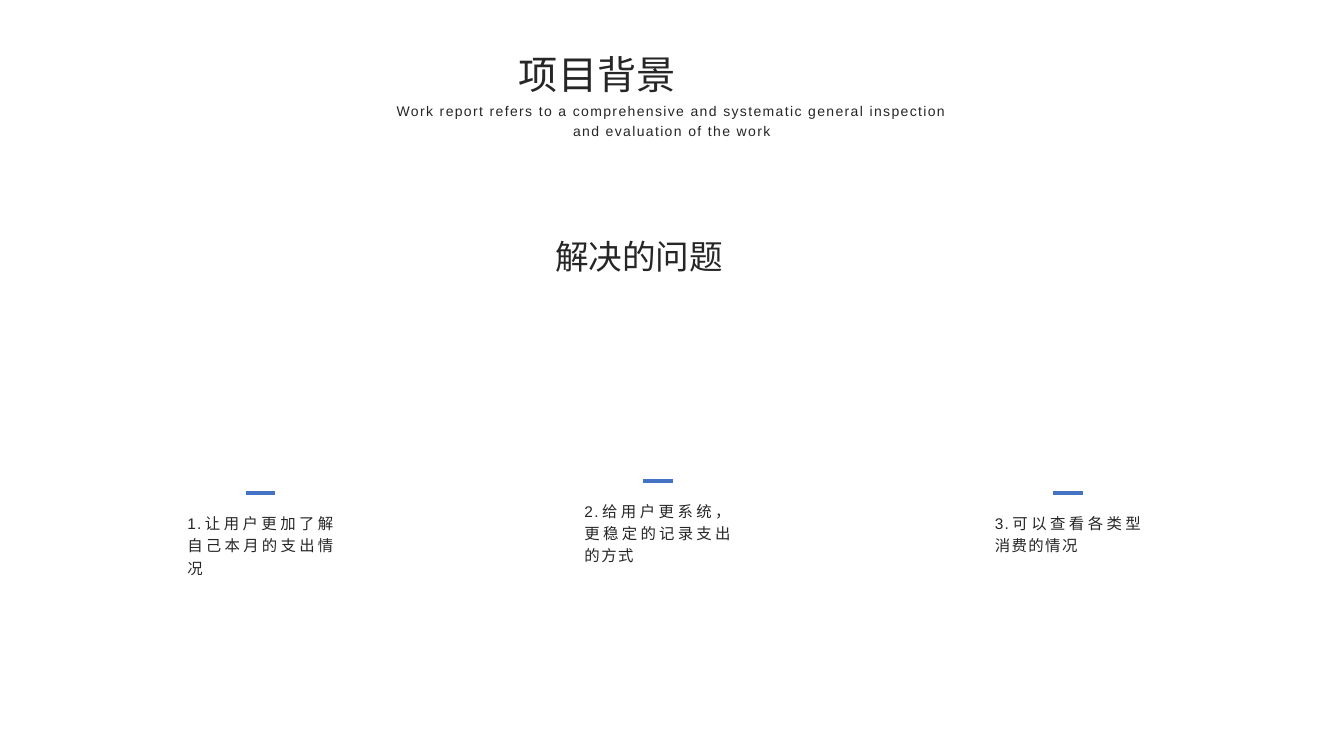
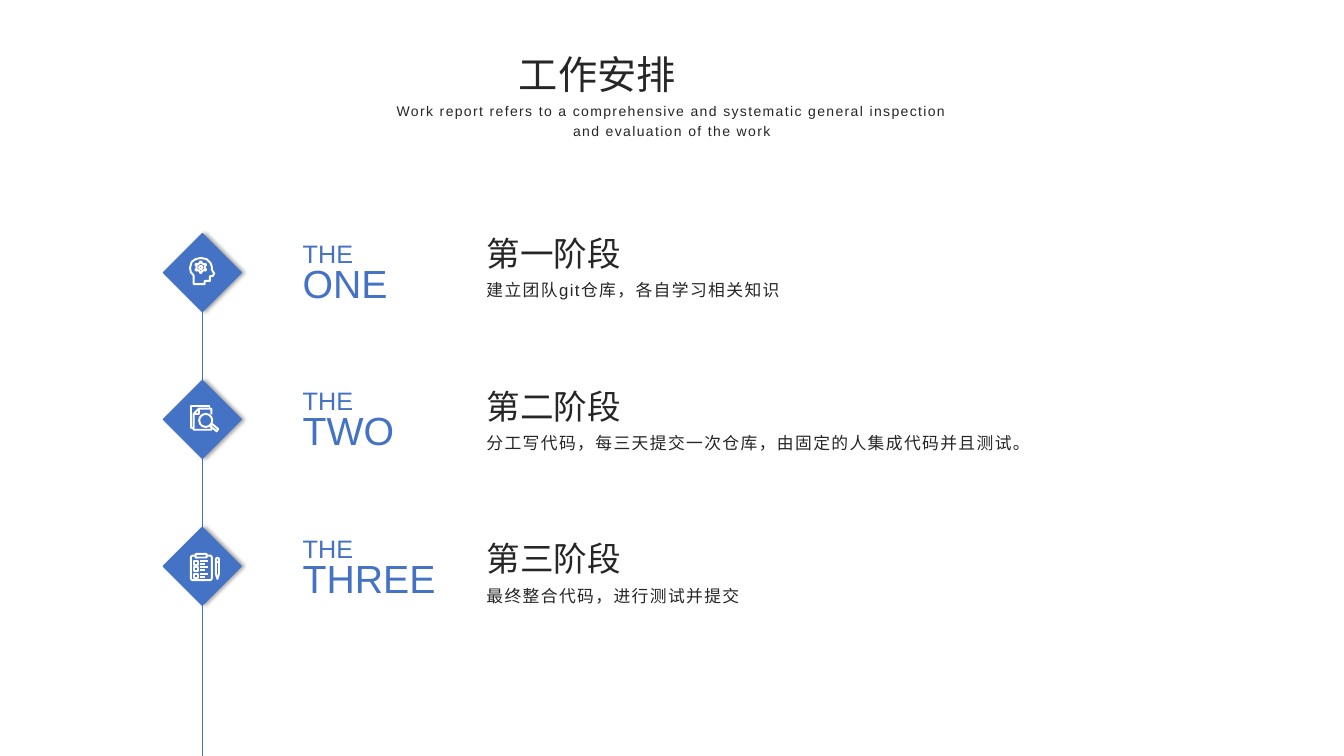
from lxml.etree import SubElement
from pptx import Presentation
from pptx.dml.color import RGBColor
from pptx.enum.shapes import MSO_CONNECTOR, MSO_SHAPE
from pptx.enum.text import MSO_AUTO_SIZE, PP_ALIGN
from pptx.oxml.ns import qn
from pptx.util import Cm, Pt

INK = "262626"
ACCENT = "4472C4"
WHITE = "FFFFFF"
FONT = "Arial"
SUBTITLE = (
    "Work report refers to a comprehensive and systematic general inspection "
    "and evaluation of the work"
)
POINTS = [
    (4.47, 12.73, 1.91, "1.让用户更加了解自己本月的支出情况"),
    (14.48, 12.42, 1.91, "2.给用户更系统，更稳定的记录支出的方式"),
    (24.82, 12.73, 1.35, "3.可以查看各类型消费的情况"),
]
ICON_UNIT = 0.01
ICON_WEIGHT = 1.4
DIAMOND_LEFT, DIAMOND_SIZE = 4.12, 1.96
HEAD = [
    (76, 127), (76, 105), (69, 97), (67, 86), (71, 71), (81, 64), (94, 61),
    (109, 64), (119, 74), (122, 84), (122, 91), (128, 100), (124, 107),
    (117, 107), (117, 119), (104, 119), (104, 127),
]
BACK_PAGE = [(76, 119), (69, 119), (69, 64), (116, 64), (116, 71)]
FRONT_PAGE = [(121, 85), (121, 71), (89, 71), (76, 84), (76, 124), (121, 124), (121, 119)]
PAGE_FOLD = [(90, 71), (90, 84), (76, 84)]
LENS_HANDLE = [(122, 109), (138, 122), (134, 128), (117, 114)]
PEN = [(132, 79), (136, 76), (140, 79), (140, 117), (136, 130), (132, 117)]


def color(value):
    return RGBColor.from_string(value)


def style_span(span, size, ink=INK, spacing=0):
    span.font.size = Pt(size)
    span.font.name = FONT
    span.font.color.rgb = color(ink)
    properties = span.font._element
    SubElement(properties, qn("a:ea"), typeface=FONT)
    if spacing:
        properties.set("spc", str(spacing * 100))


def add_box(page, left, top, width, height):
    box = page.shapes.add_textbox(Cm(left), Cm(top), Cm(width), Cm(height))
    box.text_frame.word_wrap = True
    box.text_frame.auto_size = MSO_AUTO_SIZE.SHAPE_TO_FIT_TEXT
    return box


def add_text(page, area, text, size, align=PP_ALIGN.JUSTIFY, leading=None, spacing=0):
    box = add_box(page, *area)
    box.text_frame.text = text
    para = box.text_frame.paragraphs[0]
    para.alignment = align
    if leading:
        para.line_spacing = Pt(leading)
    style_span(para.runs[0], size, spacing=spacing)


def add_line(page, start, end, ink, weight):
    ends = [Cm(value) for value in (*start, *end)]
    line = page.shapes.add_connector(MSO_CONNECTOR.STRAIGHT, *ends)
    line.line.color.rgb = color(ink)
    line.line.width = Pt(weight)
    SubElement(line._element.spPr, qn("a:effectLst"))


def paint(shape, ink, weight, fill=None):
    shape.shadow.inherit = False
    shape.line.color.rgb = color(ink)
    shape.line.width = Pt(weight)
    if fill:
        shape.fill.solid()
        shape.fill.fore_color.rgb = color(fill)
    else:
        shape.fill.background()


def add_diamond(page, top):
    diamond = page.shapes.add_shape(
        MSO_SHAPE.DIAMOND, Cm(DIAMOND_LEFT), Cm(top), Cm(DIAMOND_SIZE), Cm(DIAMOND_SIZE)
    )
    paint(diamond, ACCENT, 1, ACCENT)
    effects = diamond._element.spPr.find(qn("a:effectLst"))
    shadow = SubElement(
        effects, qn("a:outerShdw"), blurRad=str(Pt(3)), dist=str(Pt(2)), dir="0"
    )
    tint = SubElement(shadow, qn("a:srgbClr"), val="000000")
    SubElement(tint, qn("a:alpha"), val="36000")


def add_icon_outline(page, top, points, close=False):
    builder = page.shapes.build_freeform(*points[0], scale=Cm(ICON_UNIT))
    builder.add_line_segments(points[1:], close=close)
    outline = builder.convert_to_shape(Cm(DIAMOND_LEFT), Cm(top))
    paint(outline, WHITE, ICON_WEIGHT)


def add_icon_shape(page, top, kind, x, y, width, height):
    shape = page.shapes.add_shape(
        kind,
        Cm(DIAMOND_LEFT + x * ICON_UNIT),
        Cm(top + y * ICON_UNIT),
        Cm(width * ICON_UNIT),
        Cm(height * ICON_UNIT),
    )
    paint(shape, WHITE, ICON_WEIGHT, ACCENT)
    return shape


def add_icon_line(page, top, left, right, y):
    height = top + y * ICON_UNIT
    start, end = (DIAMOND_LEFT + x * ICON_UNIT for x in (left, right))
    add_line(page, (start, height), (end, height), WHITE, ICON_WEIGHT)


def add_head_icon(page, top):
    add_icon_outline(page, top, HEAD, close=True)
    add_icon_shape(page, top, MSO_SHAPE.GEAR_6, 79, 70, 30, 29)
    add_icon_shape(page, top, MSO_SHAPE.OVAL, 90, 81, 8, 8)


def add_search_icon(page, top):
    for points in (BACK_PAGE, FRONT_PAGE, PAGE_FOLD):
        add_icon_outline(page, top, points)
    add_icon_shape(page, top, MSO_SHAPE.OVAL, 90, 84, 33, 33)
    add_icon_outline(page, top, LENS_HANDLE, close=True)


def add_checklist_icon(page, top):
    board = add_icon_shape(page, top, MSO_SHAPE.ROUNDED_RECTANGLE, 69, 71, 53, 62)
    board.adjustments[0] = 0.1
    add_icon_shape(page, top, MSO_SHAPE.ROUNDED_RECTANGLE, 81, 67, 28, 9)
    for y in (84, 100, 117):
        add_icon_shape(page, top, MSO_SHAPE.RECTANGLE, 76, y, 10, 10)
        add_icon_line(page, top, 93, 113, y)
        add_icon_line(page, top, 93, 105, y + 8)
    add_icon_outline(page, top, PEN, close=True)
    add_icon_line(page, top, 132, 140, 88)


def add_page(deck, title):
    page = deck.slides.add_slide(deck.slide_layouts[6])
    add_text(page, (12.83, 1.14, 8.23, 1.45), title, 28)
    add_text(page, (9.5, 2.39, 14.86, 1.24), SUBTITLE, 10, PP_ALIGN.CENTER, 14, 1)
    return page


def add_point(page, left, top, height, text):
    add_text(page, (left, top, 4.22, height), text, 11, leading=16, spacing=1)
    add_line(page, (left + 1.72, top - 0.3), (left + 2.47, top - 0.3), ACCENT, 3)


def add_stage_label(page, top, width, number):
    frame = add_box(page, 7.38, top, width, 2.11).text_frame
    frame.text = f"THE\n{number}"
    frame.paragraphs[0].add_run().text = " "
    for para in frame.paragraphs:
        para.alignment = PP_ALIGN.JUSTIFY
        para.line_spacing = Pt(25)
        for span in para.runs:
            style_span(span, 18 if span.text == "THE" else 28, ACCENT)


def add_stage(page, index, number, width, heading, detail, add_icon):
    diamond_top = 5.89 + index * 3.7
    text_top = 5.74 + index * 3.85
    add_diamond(page, diamond_top)
    add_icon(page, diamond_top)
    add_stage_label(page, 5.82 + index * 3.72, width, number)
    add_text(page, (12.01, text_top, 5.61, 1.27), heading, 24)
    add_text(page, (12.01, text_top + 0.99, 18.9, 0.89), detail, 12, leading=20, spacing=1)


def add_background_page(deck):
    page = add_page(deck, "项目背景")
    add_text(page, (13.74, 5.82, 5.61, 1.27), "解决的问题", 24)
    for point in POINTS:
        add_point(page, *point)


def add_schedule_page(deck):
    page = add_page(deck, "工作安排")
    center = DIAMOND_LEFT + DIAMOND_SIZE / 2
    add_line(page, (center, 6.53), (center, 19.05), ACCENT, 0.5)
    stages = [
        ("ONE", 2.79, "第一阶段", "建立团队git仓库，各自学习相关知识", add_head_icon),
        ("TWO", 3.43, "第二阶段",
         "分工写代码，每三天提交一次仓库，由固定的人集成代码并且测试。", add_search_icon),
        ("THREE", 4.22, "第三阶段", "最终整合代码，进行测试并提交", add_checklist_icon),
    ]
    for index, stage in enumerate(stages):
        add_stage(page, index, *stage)


def main():
    deck = Presentation()
    deck.slide_width, deck.slide_height = Cm(33.87), Cm(19.05)
    add_background_page(deck)
    add_schedule_page(deck)
    deck.save("out.pptx")


if __name__ == "__main__":
    main()
